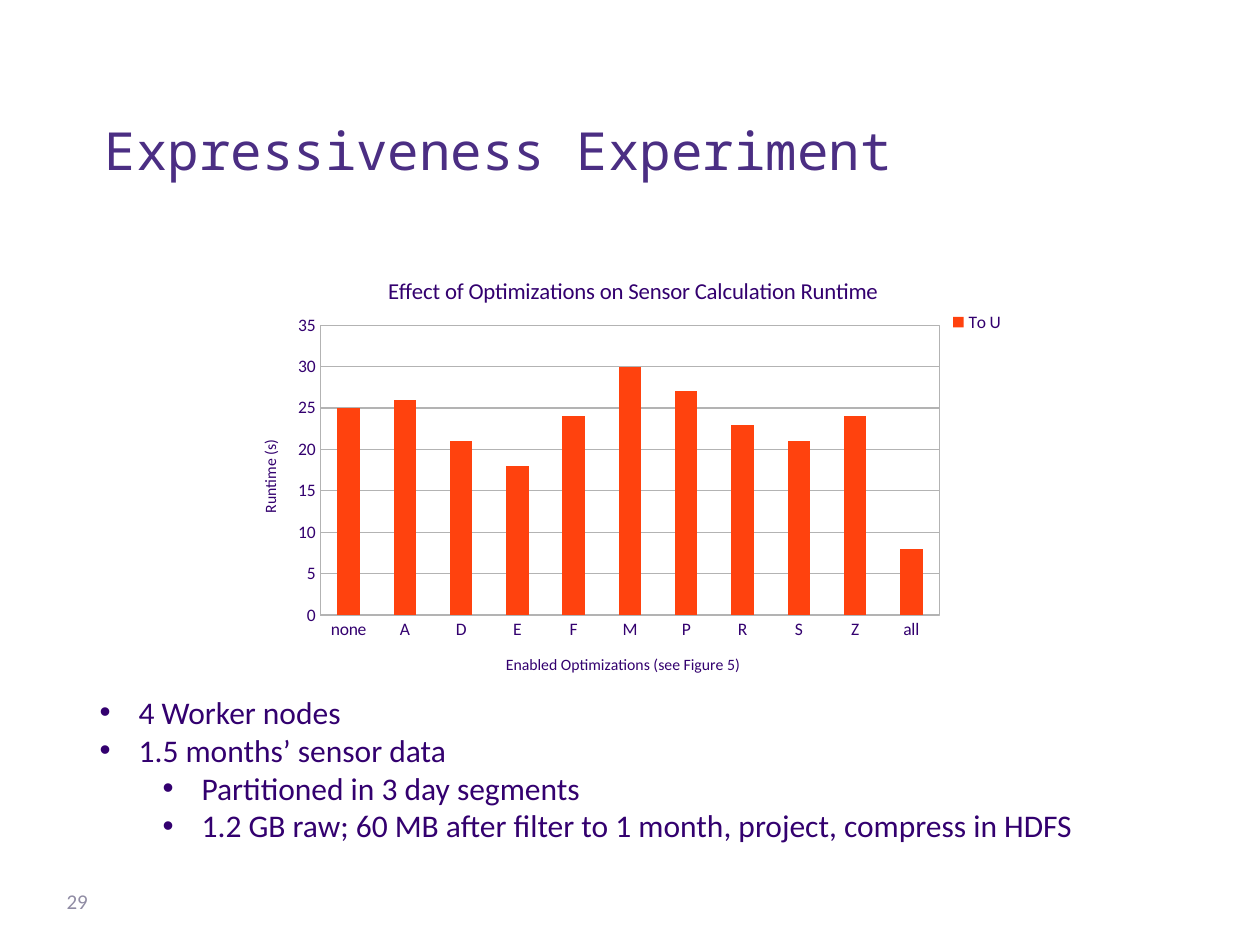
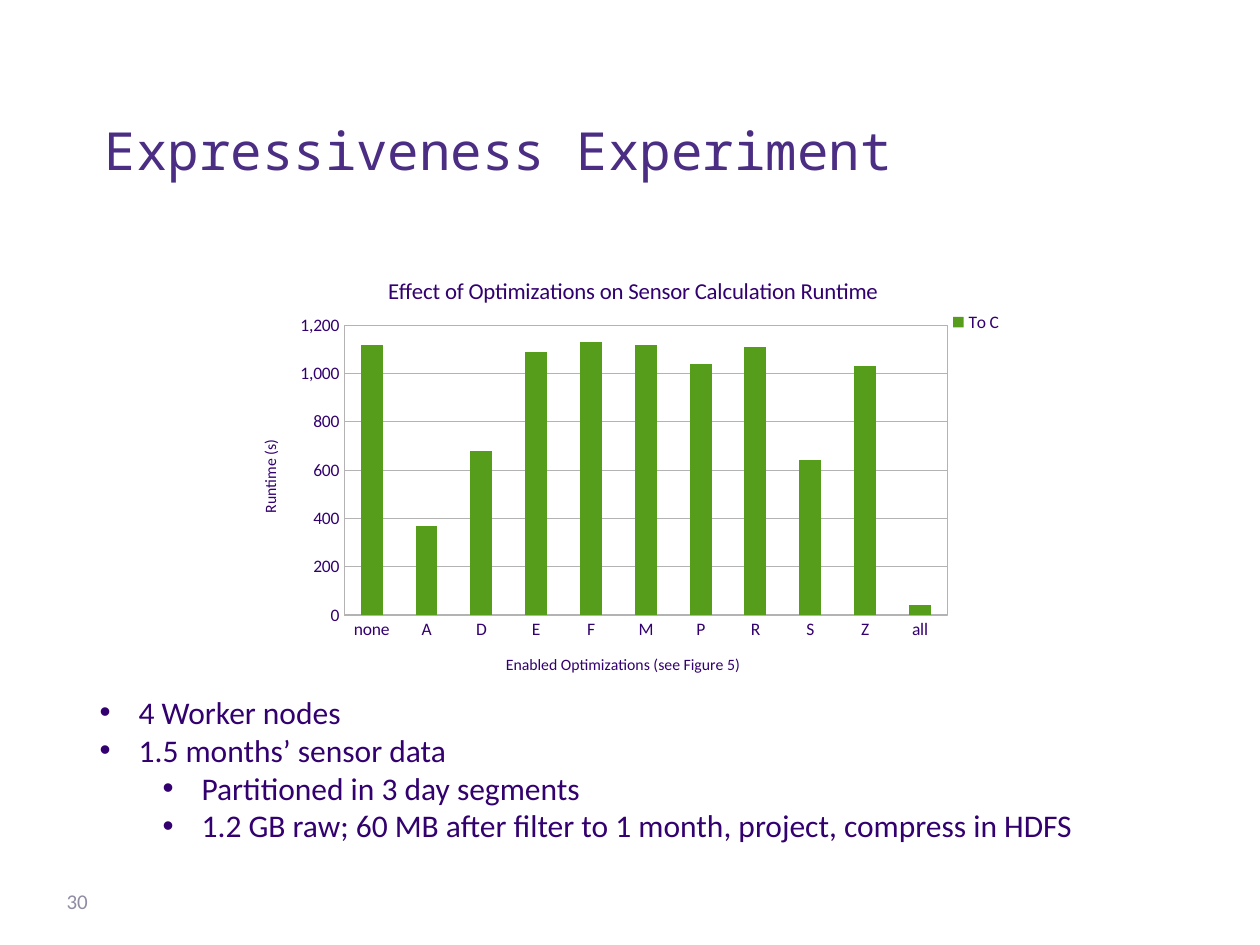
"""Build two slides that chart the effect of optimizations on sensor calculation runtime."""
from dataclasses import dataclass

import lxml.etree
import pptx
import pptx.chart.data
import pptx.dml.color
import pptx.enum.chart
import pptx.enum.text
import pptx.oxml
import pptx.oxml.ns
import pptx.util

Inches = pptx.util.Inches
Pt = pptx.util.Pt
qn = pptx.oxml.ns.qn

COLOURS = {
    "title": "4B2E83",
    "text": "33006F",
    "number": "908CA4",
    "grid": "B3B3B3",
    "to_u": "FF420E",
    "to_c": "579D1C",
}
BODY_FONT = "Calibri"
TITLE_FONT = "Noto Sans Mono"
TITLE = "Expressiveness Experiment"
CHART_TITLE = "Effect of Optimizations on Sensor Calculation Runtime"
OPTIMIZATIONS = ["none", "A", "D", "E", "F", "M", "P", "R", "S", "Z", "all"]
SETUP = [
    (0, "4 Worker nodes"),
    (0, "1.5 months’ sensor data"),
    (1, "Partitioned in 3 day segments"),
    (1, "1.2 GB raw; 60 MB after filter to 1 month, project, compress in HDFS"),
]


@dataclass(frozen=True)
class Experiment:
    number: int
    series: str
    colour: str
    runtimes: list[int]
    top: int
    step: int
    plot_left: float
    plot_width: float


EXPERIMENTS = [
    Experiment(29, "To U", "to_u", [25, 26, 21, 18, 24, 30, 27, 23, 21, 24, 8],
               35, 5, 0.11, 0.78),
    Experiment(30, "To C", "to_c",
               [1120, 370, 680, 1090, 1130, 1120, 1040, 1110, 640, 1030, 40],
               1200, 200, 0.14, 0.76),
]


def colour(name: str) -> pptx.dml.color.RGBColor:
    return pptx.dml.color.RGBColor.from_string(COLOURS[name])


def style_font(font, size: float, name: str = "text", face: str = BODY_FONT) -> None:
    font.name = face
    font.size = Pt(size)
    font.bold = False
    font.color.rgb = colour(name)


def move(shape, left: float, top: float, width: float, height: float) -> None:
    shape.left, shape.top = Inches(left), Inches(top)
    shape.width, shape.height = Inches(width), Inches(height)


def place(element, index: int, **fractions: float) -> None:
    """Give a chart part a manual layout in fractions of the chart."""
    for old in element.findall(qn("c:layout")):
        element.remove(old)
    layout = lxml.etree.Element(qn("c:layout"))
    manual = lxml.etree.SubElement(layout, qn("c:manualLayout"))
    settings = {"xMode": "edge", "yMode": "edge", **fractions}
    if "w" in fractions:
        settings = {"layoutTarget": "inner", **settings}
    for tag, value in settings.items():
        lxml.etree.SubElement(manual, qn(f"c:{tag}")).set("val", str(value))
    element.insert(index, layout)


def add_title(page) -> None:
    title = page.shapes.title
    move(title, 0.73, 0.41, 8.95, 1.08)
    frame = title.text_frame
    frame.text = TITLE
    frame.auto_size = pptx.enum.text.MSO_AUTO_SIZE.NONE
    frame.vertical_anchor = pptx.enum.text.MSO_ANCHOR.BOTTOM
    para = frame.paragraphs[0]
    para.alignment = pptx.enum.text.PP_ALIGN.LEFT
    para.line_spacing = 0.9
    style_font(para.font, 30, "title", TITLE_FONT)


def add_number(page, number: int) -> None:
    box = page.shapes.add_textbox(Inches(0.43), Inches(6.95), Inches(2.25), Inches(0.4))
    frame = box.text_frame
    frame.word_wrap = True
    frame.vertical_anchor = pptx.enum.text.MSO_ANCHOR.MIDDLE
    frame.text = str(number)
    style_font(frame.paragraphs[0].font, 12, "number")


def add_setup(page) -> None:
    body = page.placeholders[1]
    move(body, 0.69, 5.45, 8.02, 1.31)
    frame = body.text_frame
    frame.word_wrap = False
    frame.auto_size = pptx.enum.text.MSO_AUTO_SIZE.NONE
    frame.text = "\n".join(text for _, text in SETUP)
    for para, (level, _) in zip(frame.paragraphs, SETUP):
        para.level = level
        para.space_before = Pt(0)
        properties = para._p.get_or_add_pPr()
        properties.set("marL", str(Inches(0.31 + 0.5 * level)))
        properties.set("indent", str(Inches(-0.31)))
        lxml.etree.SubElement(properties, qn("a:buFont")).set("typeface", "Arial")
        lxml.etree.SubElement(properties, qn("a:buChar")).set("char", "•")
        style_font(para.font, 18)


def add_heading(owner, heading, text: str, size: float, left: float, top: float) -> None:
    """Write and place the title of a chart or of an axis."""
    owner.has_title = True
    heading.text_frame.text = text
    style_font(heading.text_frame.paragraphs[0].font, size)
    place(heading._element, 1, x=left, y=top)


def style_line(line) -> None:
    line.color.rgb = colour("grid")
    line.width = Pt(0.75)


def add_runtime_chart(page, experiment: Experiment) -> None:
    data = pptx.chart.data.CategoryChartData(number_format="#,##0")
    data.categories = OPTIMIZATIONS
    data.add_series(experiment.series, experiment.runtimes)
    chart = page.shapes.add_chart(
        pptx.enum.chart.XL_CHART_TYPE.COLUMN_STACKED,
        Inches(1.85), Inches(1.98), Inches(6.3), Inches(3.54), data).chart
    style_font(chart.font, 10)
    add_heading(chart, chart.chart_title, CHART_TITLE, 13, 0.19, 0.05)

    bars = chart.plots[0]
    bars.gap_width = 150
    bars.overlap = 100
    bars.vary_by_categories = False
    fill = bars.series[0].format.fill
    fill.solid()
    fill.fore_color.rgb = colour(experiment.colour)

    runtime_axis = chart.value_axis
    runtime_axis.minimum_scale = 0
    runtime_axis.maximum_scale = experiment.top
    runtime_axis.major_unit = experiment.step
    runtime_axis.tick_labels.number_format = "#,##0"
    runtime_axis.tick_labels.number_format_is_linked = False
    runtime_axis.has_major_gridlines = True
    style_line(runtime_axis.major_gridlines.format.line)
    for axis, text, left, top in (
            (chart.category_axis, "Enabled Optimizations (see Figure 5)", 0.34, 0.9),
            (runtime_axis, "Runtime (s)", 0.03, 0.42)):
        add_heading(axis, axis.axis_title, text, 9, left, top)
        axis.major_tick_mark = pptx.enum.chart.XL_TICK_MARK.NONE
        axis.minor_tick_mark = pptx.enum.chart.XL_TICK_MARK.NONE
        style_font(axis.tick_labels.font, 10)
        style_line(axis.format.line)

    chart.has_legend = True
    legend = chart.legend
    legend.position = pptx.enum.chart.XL_LEGEND_POSITION.RIGHT
    legend.include_in_layout = False
    style_font(legend.font, 10)
    place(legend._element, 1, x=0.9, y=0.13)

    plot_area = chart._chartSpace.chart.plotArea
    place(plot_area, 0, x=experiment.plot_left, y=0.17,
          w=experiment.plot_width, h=0.65)
    border = lxml.etree.SubElement(plot_area, qn("c:spPr"))
    lxml.etree.SubElement(border, qn("a:noFill"))
    line = lxml.etree.SubElement(border, qn("a:ln"), w=str(Pt(0.75)))
    solid = lxml.etree.SubElement(line, qn("a:solidFill"))
    lxml.etree.SubElement(solid, qn("a:srgbClr")).set("val", COLOURS["grid"])


def main() -> None:
    deck = pptx.Presentation()
    deck.slide_width, deck.slide_height = Inches(10), Inches(7.5)
    for experiment in EXPERIMENTS:
        page = deck.slides.add_slide(deck.slide_layouts[1])
        add_title(page)
        add_number(page, experiment.number)
        add_setup(page)
        add_runtime_chart(page, experiment)
    deck.save("out.pptx")


if __name__ == "__main__":
    main()
